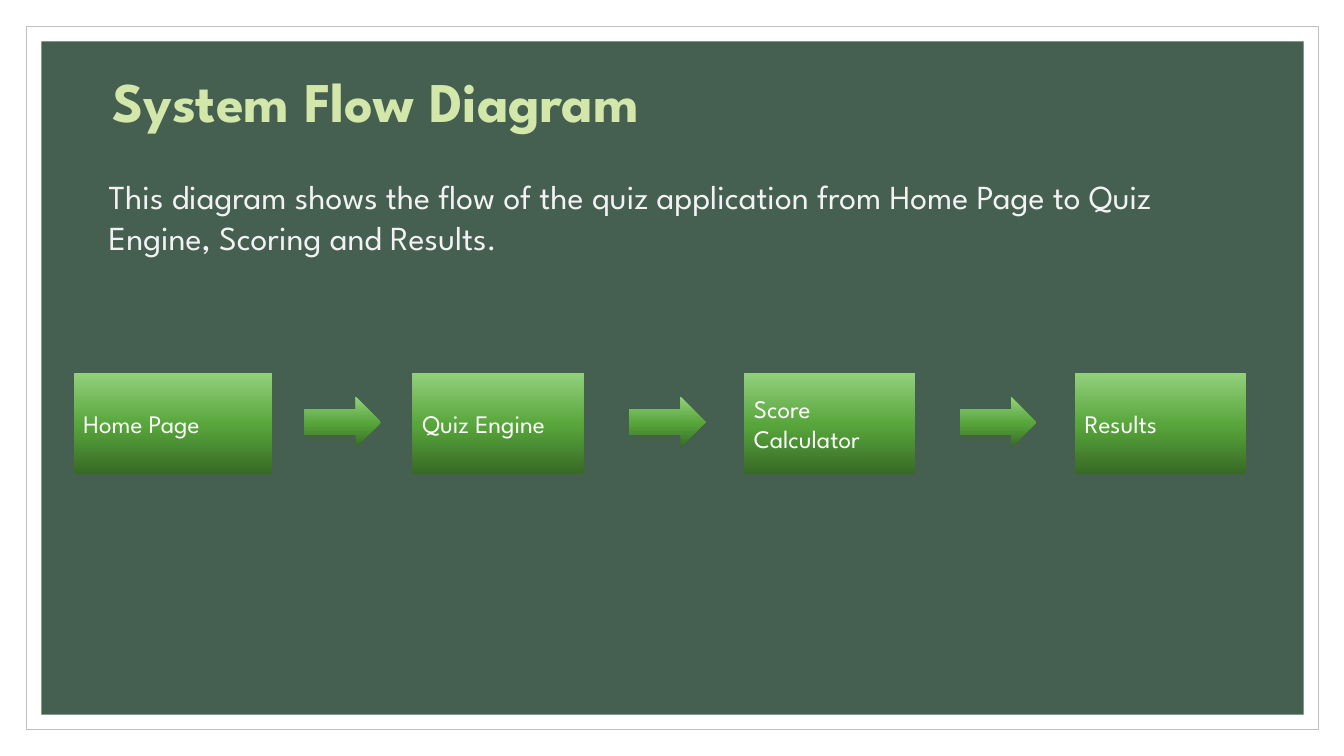
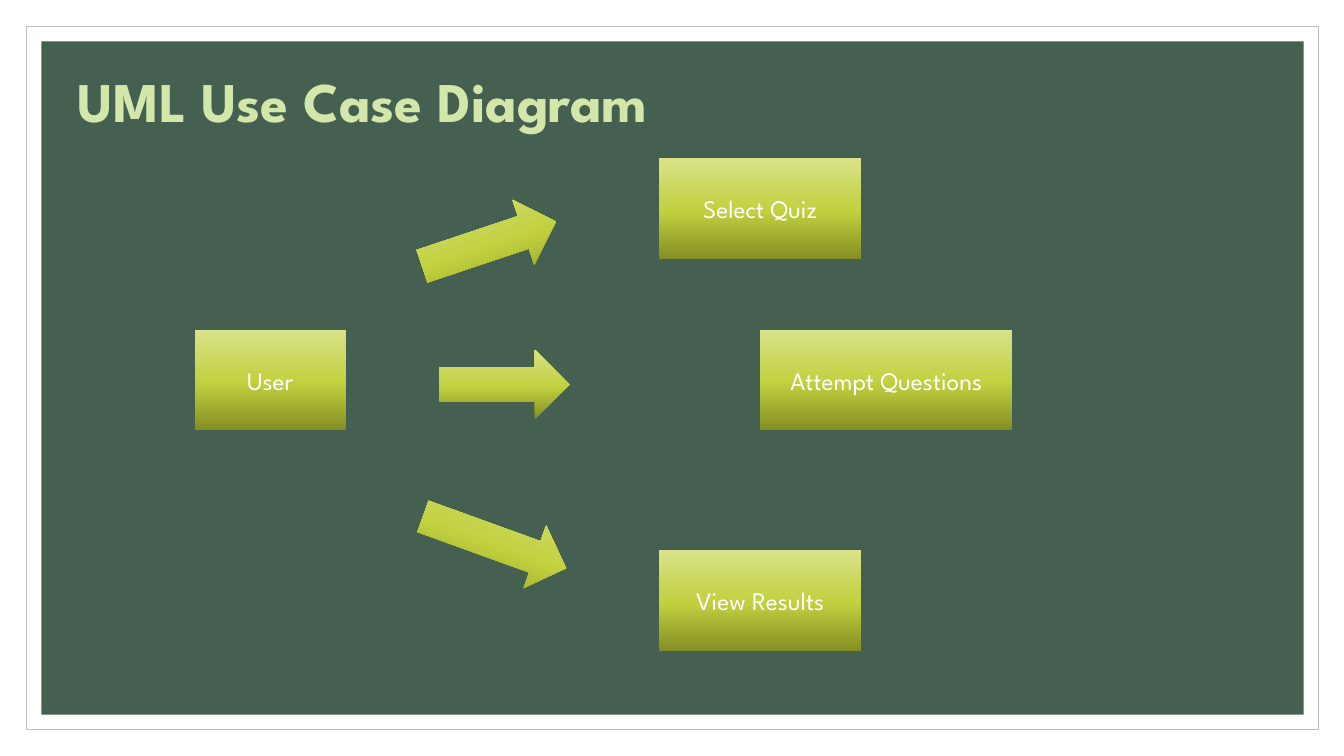
from copy import deepcopy
from dataclasses import dataclass

from pptx import Presentation
from pptx.dml.color import RGBColor
from pptx.enum.shapes import MSO_SHAPE as Shape
from pptx.enum.text import MSO_ANCHOR as Anchor, MSO_AUTO_SIZE as AutoSize, PP_ALIGN as Align
from pptx.oxml.ns import qn
from pptx.util import Emu, Pt

EMU_PER_PX = 9144  # 100 px to the inch


@dataclass(frozen=True)
class Theme:
    font: str = "League Spartan"
    paper: str = "FFFFFF"
    panel: str = "455F51"
    border: str = "BFBFBF"
    title: str = "D2E7A9"
    body: str = "F2F2F2"
    label: str = "FFFFFF"
    green: tuple[str, ...] = ("386A26", "57A53B", "93D07D")
    lime: tuple[str, ...] = ("848F23", "C2D040", "D9E289")
    stops: tuple[float, ...] = (0, 0.48, 1)
    title_pt: int = 40
    body_pt: int = 24
    stop_pt: int = 22
    label_pt: int = 18


THEME = Theme()


@dataclass(frozen=True)
class Rect:
    x: int
    y: int
    w: int
    h: int

    def emu(self) -> tuple[Emu, ...]:
        return tuple(Emu(v * EMU_PER_PX) for v in (self.x, self.y, self.w, self.h))


@dataclass(frozen=True)
class Box:
    text: str
    rect: Rect


@dataclass(frozen=True)
class Arrow:
    rect: Rect
    rotation: float = 0


FLOW_Y, BOX_H = 370, 100
FLOW_BOXES = [
    Box(text, Rect(x, FLOW_Y, w, BOX_H))
    for text, x, w in (
        ("Home Page", 73, 197),
        ("Quiz Engine", 409, 170),
        ("Score Calculator", 738, 170),
        ("Results", 1066, 170),
    )
]
FLOW_ARROWS = [Arrow(Rect(x, 394, 76, 50)) for x in (302, 624, 952)]

USE_CASE_BOXES = [
    Box(text, Rect(x, y, w, BOX_H))
    for text, x, y, w in (
        ("User", 193, 327, 150),
        ("Select Quiz", 654, 157, 200),
        ("Attempt Questions", 754, 327, 250),
        ("View Results", 654, 546, 200),
    )
]
USE_CASE_ARROWS = [
    Arrow(Rect(415, 208, 140, 68), 341.5),
    Arrow(Rect(435, 347, 130, 69)),
    Arrow(Rect(415, 505, 151, 66), 19.9),
]


def style_font(font, size: int, color: str, bold: bool = False) -> None:
    font.name, font.size, font.bold = THEME.font, Pt(size), bold
    font.color.rgb = RGBColor.from_string(color)


def add_plain_shape(slide, kind: Shape, rect: Rect):
    """Add a preset shape without line or shadow."""
    s = slide.shapes.add_shape(kind, *rect.emu())
    s.shadow.inherit = False
    s.line.fill.background()
    return s


def fill_gradient(s, colors: tuple[str, ...]) -> None:
    """Fill with three stops running from bottom to top."""
    s.fill.gradient()
    s.fill.gradient_angle = 90
    stop_list = s.element.spPr.find(qn("a:gradFill")).find(qn("a:gsLst"))
    stop_list.append(deepcopy(stop_list[-1]))
    for stop, position, color in zip(s.fill.gradient_stops, THEME.stops, colors):
        stop.position = position
        stop.color.rgb = RGBColor.from_string(color)


def add_frame(slide, layout) -> None:
    """Put the white border and green panel behind everything on the layout."""
    bands = (
        (Rect(26, 26, 1282, 698), THEME.paper, THEME.border),
        (Rect(41, 41, 1252, 668), THEME.panel, None),
    )
    for i, (rect, color, border) in enumerate(bands):
        s = add_plain_shape(slide, Shape.RECTANGLE, rect)
        s.fill.solid()
        s.fill.fore_color.rgb = RGBColor.from_string(color)
        if border:
            s.line.color.rgb = RGBColor.from_string(border)
            s.line.width = Pt(0.5)
        layout.shapes.element.insert(2 + i, s.element)


def set_title(slide, text: str, rect: Rect, align: Align) -> None:
    s = slide.shapes.title
    s.left, s.top, s.width, s.height = rect.emu()
    tf = s.text_frame
    tf.text = text
    tf.word_wrap = False
    tf.auto_size = AutoSize.SHAPE_TO_FIT_TEXT
    tf.vertical_anchor = Anchor.TOP
    p = tf.paragraphs[0]
    p.alignment = align
    style_font(p.font, THEME.title_pt, THEME.title, bold=True)


def add_intro(slide, text: str, full_stop: str) -> None:
    tf = slide.shapes.add_textbox(*Rect(98, 170, 1139, 91).emu()).text_frame
    tf.word_wrap = True
    tf.auto_size = AutoSize.SHAPE_TO_FIT_TEXT
    p = tf.paragraphs[0]
    for part, size in ((text, THEME.body_pt), (full_stop, THEME.stop_pt)):
        r = p.add_run()
        r.text = part
        style_font(r.font, size, THEME.body)


def add_diagram(slide, boxes: list[Box], arrows: list[Arrow],
                colors: tuple[str, ...], align: Align) -> None:
    for box in boxes:
        s = add_plain_shape(slide, Shape.RECTANGLE, box.rect)
        fill_gradient(s, colors)
        tf = s.text_frame
        tf.text = box.text
        tf.word_wrap = True
        tf.vertical_anchor = Anchor.MIDDLE
        p = tf.paragraphs[0]
        p.alignment = align
        style_font(p.font, THEME.label_pt, THEME.label)
    for arrow in arrows:
        s = add_plain_shape(slide, Shape.RIGHT_ARROW, arrow.rect)
        fill_gradient(s, colors)
        s.rotation = arrow.rotation


def main() -> None:
    prs = Presentation()
    _, _, prs.slide_width, prs.slide_height = Rect(0, 0, 1333, 750).emu()
    layout = prs.slide_layouts.get_by_name("Title Only")

    flow = prs.slides.add_slide(layout)
    add_frame(flow, layout)
    set_title(flow, "System Flow Diagram", Rect(73, 61, 599, 77), Align.CENTER)
    add_intro(flow, "This diagram shows the flow of the quiz application from Home Page "
                    "to Quiz Engine, Scoring and Results", ".")
    add_diagram(flow, FLOW_BOXES, FLOW_ARROWS, THEME.green, Align.LEFT)

    use_case = prs.slides.add_slide(layout)
    set_title(use_case, "UML Use Case Diagram", Rect(67, 61, 651, 77), Align.LEFT)
    add_diagram(use_case, USE_CASE_BOXES, USE_CASE_ARROWS, THEME.lime, Align.CENTER)

    prs.save("out.pptx")


if __name__ == "__main__":
    main()
